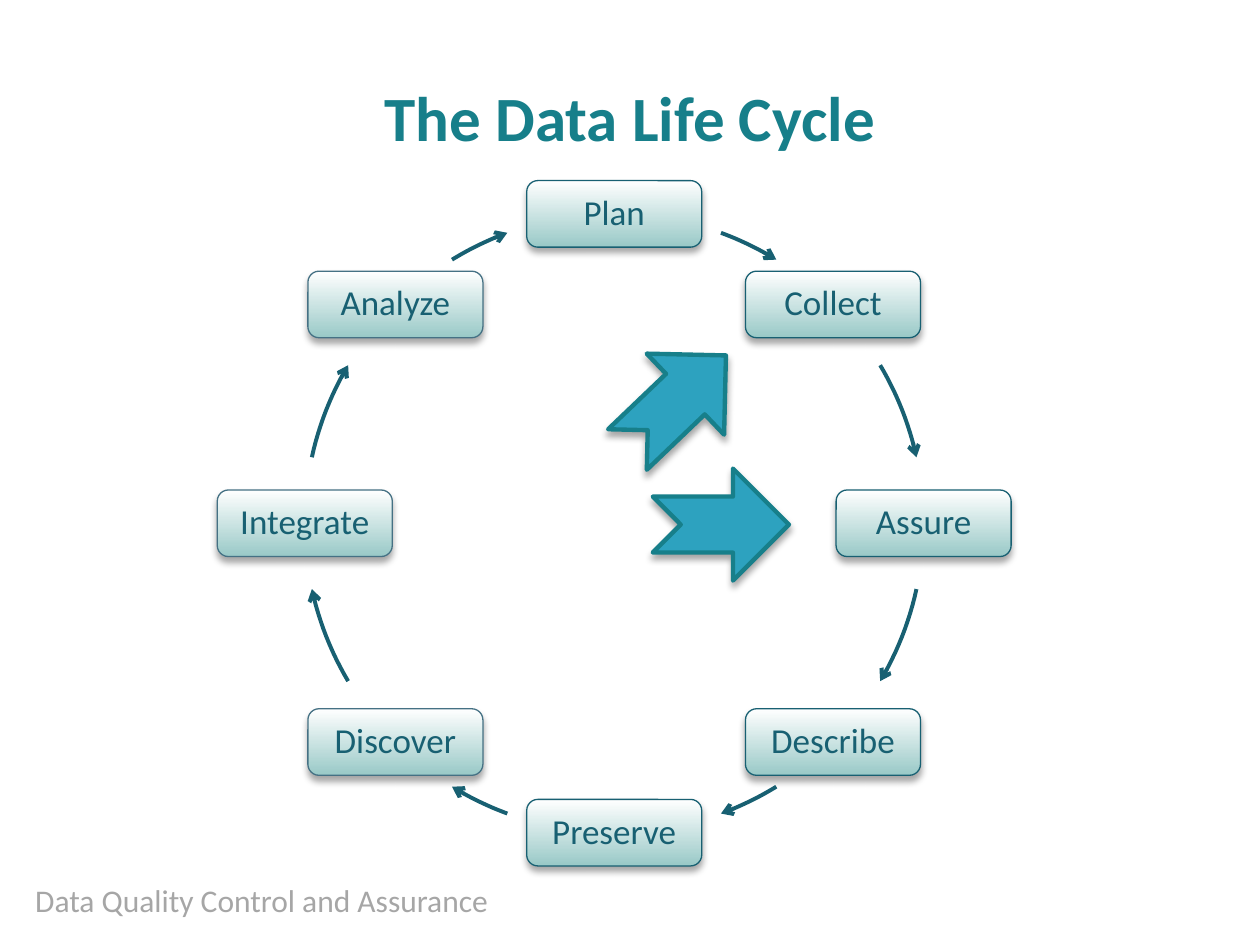
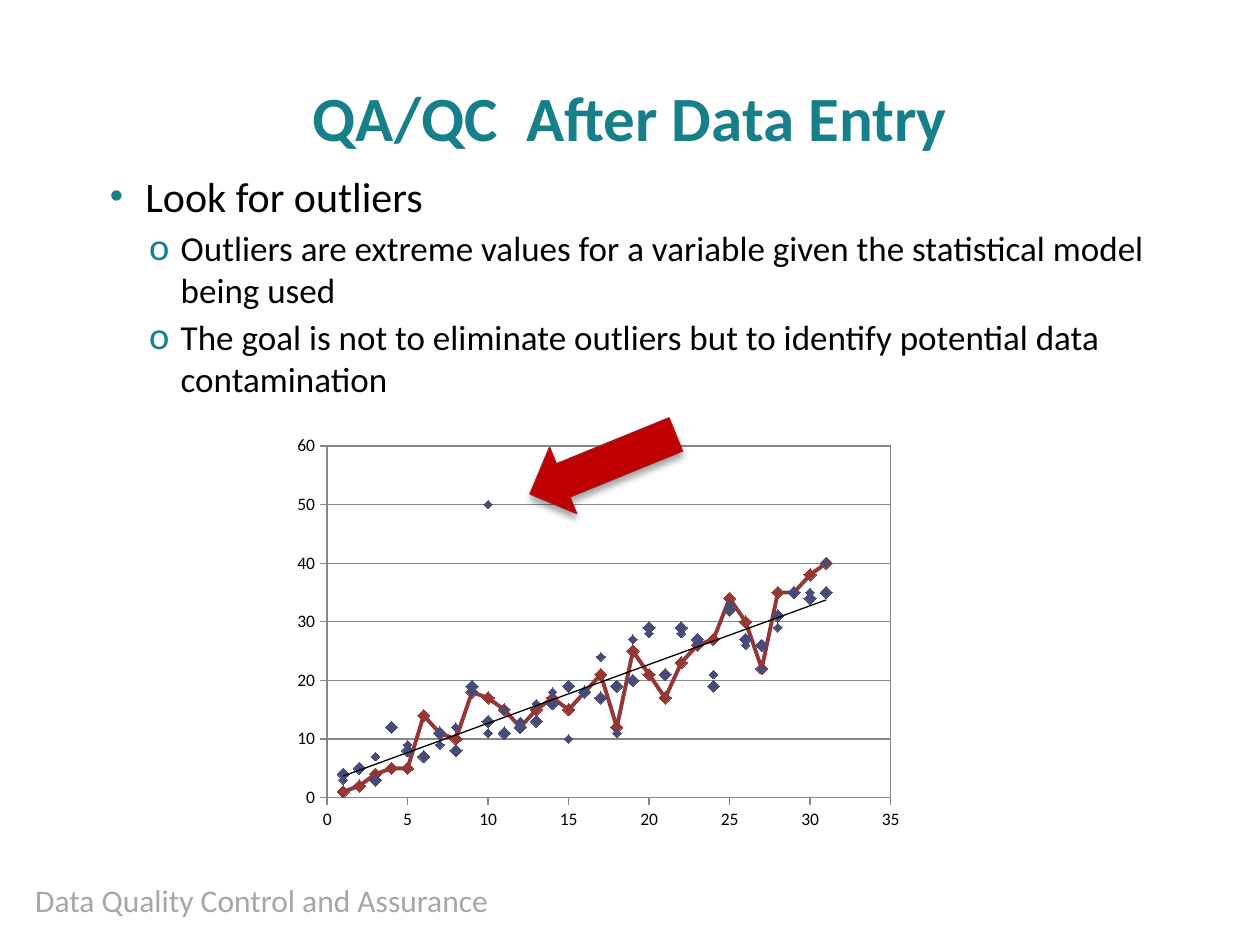
import math
from dataclasses import dataclass

from lxml import etree
from pptx import Presentation
from pptx import util as u
from pptx.chart.data import XyChartData
from pptx.dml.color import RGBColor
from pptx.enum import chart as ch, shapes, text
from pptx.oxml import ns, parse_xml

Pt = u.Pt
SHAPE = shapes.MSO_SHAPE


@dataclass(frozen=True)
class Theme:
    font: str = "Calibri"
    teal: str = "177F8A"
    deep: str = "186072"
    muted: str = "457184"
    mint: str = "99C9C7"
    blue: str = "2DA2BF"
    red: str = "C00000"
    red_edge: str = "A3171E"
    indigo: str = "474B78"
    brick: str = "953735"
    white: str = "FFFFFF"
    black: str = "000000"
    grey: str = "A6A6A6"
    grid: str = "878787"
    title: int = 36
    lead: int = 24
    body: int = 20
    footer: int = 18
    axis: int = 10


T = Theme()
FOOTER = "Data Quality Control and Assurance"
STAGES = ["Plan", "Collect", "Assure", "Describe",
          "Preserve", "Discover", "Integrate", "Analyze"]
CENTRE = (351, 299)
RADIUS = 176.8
HALF_TURN_ARCS = [(20.2, 31.6), (59.3, 77.7), (102.3, 120.7), (148.4, 159.8)]
FIRST = [3, 5, 7, 12, 9, 7, 9, 12, 18, 11, 15, 13, 16, 18, 10, 18,
         24, 11, 27, 28, 21, 28, 26, 21, 33, 26, 22, 29, 35, 35, 40]
SECOND = [4, 5, 3, 12, 8, 7, 11, 8, 19, 13, 11, 12, 13, 16, 19, 18,
          17, 19, 20, 29, 21, 29, 27, 19, 32, 27, 26, 31, 35, 34, 35]
THIRD = [1, 2, 4, 5, 5, 14, 11, 10, 18, 17, 15, 12, 15, 17, 15, 18,
         21, 12, 25, 21, 17, 23, 26, 27, 34, 30, 22, 35, 35, 38, 40]
OUTLIER = (10, 50)


def rgb(value):
    return RGBColor.from_string(value)


def box(*lengths):
    return [Pt(v) for v in lengths]


def place(sp, *at):
    sp.left, sp.top, sp.width, sp.height = box(*at)


def sub(parent, tag, **attrs):
    el = etree.SubElement(parent, ns.qn(tag))
    for name, value in attrs.items():
        el.set(name, str(value))
    return el


def write(tf, content, size=T.body, color=T.black, bold=False,
          align=text.PP_ALIGN.LEFT, before=0, spacing=None):
    p = tf.paragraphs[0]
    if p.runs:
        p = tf.add_paragraph()
    p.alignment = align
    p.space_before = Pt(before)
    if spacing:
        p.line_spacing = spacing
    r = p.add_run()
    r.text = content
    r.font.name, r.font.size, r.font.bold = T.font, Pt(size), bold
    r.font.color.rgb = rgb(color)
    return p


def bullet(p, char, indent, hang, scale, font):
    pPr = p._p.get_or_add_pPr()
    pPr.set("marL", str(Pt(indent)))
    pPr.set("indent", str(-Pt(hang)))
    sub(sub(pPr, "a:buClr"), "a:srgbClr", val=T.teal)
    sub(pPr, "a:buSzPct", val=scale * 1000)
    sub(pPr, "a:buFont", typeface=font)
    sub(pPr, "a:buChar", char=char)


def text_box(slide, *at):
    tf = slide.shapes.add_textbox(*box(*at)).text_frame
    tf.word_wrap = True
    return tf


def titled_slide(prs, title):
    slide = prs.slides.add_slide(prs.slide_layouts[5])
    sp = slide.shapes.title
    place(sp, 0, 38.5, 720, 55.4)
    sp.text_frame.vertical_anchor = text.MSO_ANCHOR.MIDDLE
    write(sp.text_frame, title, size=T.title, color=T.teal, bold=True,
          align=text.PP_ALIGN.CENTER)
    write(text_box(slide, 13, 500, 301, 28.8), FOOTER,
          size=T.footer, color=T.grey)
    return slide


def outline(sp, color, width):
    sp.line.color.rgb = rgb(color)
    sp.line.width = Pt(width)


def drop_shadow(sp):
    sp.shadow.inherit = False
    effects = sp._element.spPr.find(ns.qn("a:effectLst"))
    shadow = sub(effects, "a:outerShdw", blurRad=Pt(4), dist=Pt(3),
                 dir=90 * 60000, rotWithShape=0)
    sub(sub(shadow, "a:srgbClr", val=T.black), "a:alpha", val=35000)


def block_arrow(slide, kind, at, fill, edge, width, rotation=0):
    sp = slide.shapes.add_shape(kind, *box(*at))
    sp.fill.solid()
    sp.fill.fore_color.rgb = rgb(fill)
    outline(sp, edge, width)
    drop_shadow(sp)
    sp.rotation = rotation


def on_cycle(degrees):
    a = math.radians(degrees)
    return CENTRE[0] + RADIUS * math.sin(a), CENTRE[1] - RADIUS * math.cos(a)


def stage(slide, label, degrees, edge):
    w, h = 100, 38
    x, y = on_cycle(degrees)
    sp = slide.shapes.add_shape(SHAPE.ROUNDED_RECTANGLE,
                                *box(x - w / 2, y - h / 2, w, h))
    sp.fill.gradient()
    sp.fill.gradient_angle = 270
    for stop, position, color in zip(sp.fill.gradient_stops, (0, 1),
                                     (T.white, T.mint)):
        stop.position = position
        stop.color.rgb = rgb(color)
    outline(sp, edge, 0.75)
    drop_shadow(sp)
    tf = sp.text_frame
    tf.vertical_anchor = text.MSO_ANCHOR.MIDDLE
    tf.margin_left = tf.margin_right = Pt(6)
    write(tf, label, color=T.deep, align=text.PP_ALIGN.CENTER, spacing=0.9)


def frame_on_cycle(sp):
    left, top = sp.left, sp.top
    place(sp, CENTRE[0] - RADIUS, CENTRE[1] - RADIUS, 2 * RADIUS, 2 * RADIUS)
    shift = {"x": left - sp.left, "y": top - sp.top}
    for outline_el in sp._element.iter(ns.qn("a:path")):
        outline_el.set("w", str(sp.width))
        outline_el.set("h", str(sp.height))
        for pt in outline_el.iter(ns.qn("a:pt")):
            for axis, offset in shift.items():
                pt.set(axis, str(int(pt.get(axis)) + offset))


def cycle_arrow(slide, start, end, steps=12):
    points = [box(*on_cycle(start + (end - start) * i / steps))
              for i in range(steps + 1)]
    builder = slide.shapes.build_freeform(*points[0])
    builder.add_line_segments(points[1:], close=False)
    sp = builder.convert_to_shape()
    frame_on_cycle(sp)
    sp.fill.background()
    outline(sp, T.deep, 2.25)
    sp.shadow.inherit = False
    sub(sp._element.spPr.find(ns.qn("a:ln")), "a:tailEnd", type="arrow")


def line_properties(color, width, fill=""):
    return (f'<c:spPr {ns.nsdecls("c", "a")}>{fill}<a:ln w="{Pt(width)}">'
            f'<a:solidFill><a:srgbClr val="{color}"/></a:solidFill>'
            '</a:ln></c:spPr>')


def add_trend(series):
    trend = etree.Element(ns.qn("c:trendline"))
    trend.append(parse_xml(line_properties(T.black, 0.75)))
    sub(trend, "c:trendlineType", val="linear")
    sub(trend, "c:dispRSqr", val=0)
    sub(trend, "c:dispEq", val=0)
    series._element.find(ns.qn("c:xVal")).addprevious(trend)


def frame_plot(chart, **area):
    plot = chart._chartSpace.chart.plotArea
    for old in plot.findall(ns.qn("c:layout")):
        plot.remove(old)
    layout = etree.Element(ns.qn("c:layout"))
    manual = sub(layout, "c:manualLayout")
    sub(manual, "c:layoutTarget", val="inner")
    for side in "xy":
        sub(manual, f"c:{side}Mode", val="edge")
    for name, percent in area.items():
        sub(manual, f"c:{name}", val=percent / 100)
    plot.insert(0, layout)
    white = f'<a:solidFill><a:srgbClr val="{T.white}"/></a:solidFill>'
    plot.append(parse_xml(line_properties(T.grid, 0.75, white)))


def format_axis(axis, top, step, grid):
    axis.minimum_scale, axis.maximum_scale, axis.major_unit = 0, top, step
    axis.major_tick_mark = ch.XL_TICK_MARK.OUTSIDE
    axis.minor_tick_mark = ch.XL_TICK_MARK.NONE
    axis.format.line.color.rgb = rgb(T.grid)
    axis.has_major_gridlines = grid
    if grid:
        axis.major_gridlines.format.line.color.rgb = rgb(T.grid)


def scatter(slide, *at):
    data = XyChartData(number_format="General")
    readings = [list(enumerate(v, 1)) for v in (FIRST, SECOND, THIRD)]
    readings[0].append(OUTLIER)
    for i, points in enumerate(readings, 1):
        series = data.add_series(f"Series {i}")
        for x, y in points:
            series.add_data_point(x, y)
    chart = slide.shapes.add_chart(ch.XL_CHART_TYPE.XY_SCATTER,
                                   *box(*at), data).chart
    chart.has_legend = chart.has_title = False
    chart.font.name, chart.font.size = T.font, Pt(T.axis)
    chart.font.color.rgb = rgb(T.black)
    plot = chart.plots[0]
    plot.vary_by_categories = False
    looks = [(5, T.indigo, False), (7, T.indigo, False), (7, T.brick, True)]
    for series, (size, color, joined) in zip(plot.series, looks):
        series.smooth = False
        marker = series.marker
        marker.style, marker.size = ch.XL_MARKER_STYLE.DIAMOND, size
        marker.format.fill.solid()
        marker.format.fill.fore_color.rgb = rgb(color)
        marker.format.line.color.rgb = rgb(color)
        if joined:
            outline(series.format, color, 2.25)
        else:
            series.format.line.fill.background()
    add_trend(plot.series[1])
    format_axis(chart.category_axis, 35, 5, False)
    format_axis(chart.value_axis, 60, 10, True)
    frame_plot(chart, x=6.75, y=4.3, w=89.8, h=85.9)


def life_cycle(prs):
    slide = titled_slide(prs, "The Data Life Cycle")
    for i, label in enumerate(STAGES):
        stage(slide, label, i * 45, T.deep if i < 5 else T.muted)
    for turn in (0, 180):
        for start, end in HALF_TURN_ARCS:
            cycle_arrow(slide, turn + start, turn + end)
    for x, y, rotation in [(373, 267.8, 0), (347.8, 198, 316.3)]:
        block_arrow(slide, SHAPE.NOTCHED_RIGHT_ARROW, (x, y, 77.8, 64),
                    T.blue, T.teal, 2.5, rotation)


def after_entry(prs):
    slide = titled_slide(prs, "QA/QC  After Data Entry")
    tf = text_box(slide, 47.2, 93.6, 629.3, 373)
    bullet(write(tf, "Look for outliers", size=T.lead, before=4),
           "•", 28.8, 20.2, 90, "Arial")
    for point in (
        "Outliers are extreme values for a variable given the statistical "
        "model being used",
        "The goal is not to eliminate outliers but to identify potential "
        "data contamination",
    ):
        bullet(write(tf, point, before=3.2), "o", 49, 18, 110, T.font)
    scatter(slide, 162.7, 244.8, 358.6, 234)
    block_arrow(slide, SHAPE.DOWN_ARROW, (324, 220.3, 41, 90),
                T.red, T.red_edge, 0.75, 67.8)


def main():
    prs = Presentation()
    prs.slide_width, prs.slide_height = box(720, 540)
    life_cycle(prs)
    after_entry(prs)
    prs.save("out.pptx")


if __name__ == "__main__":
    main()
